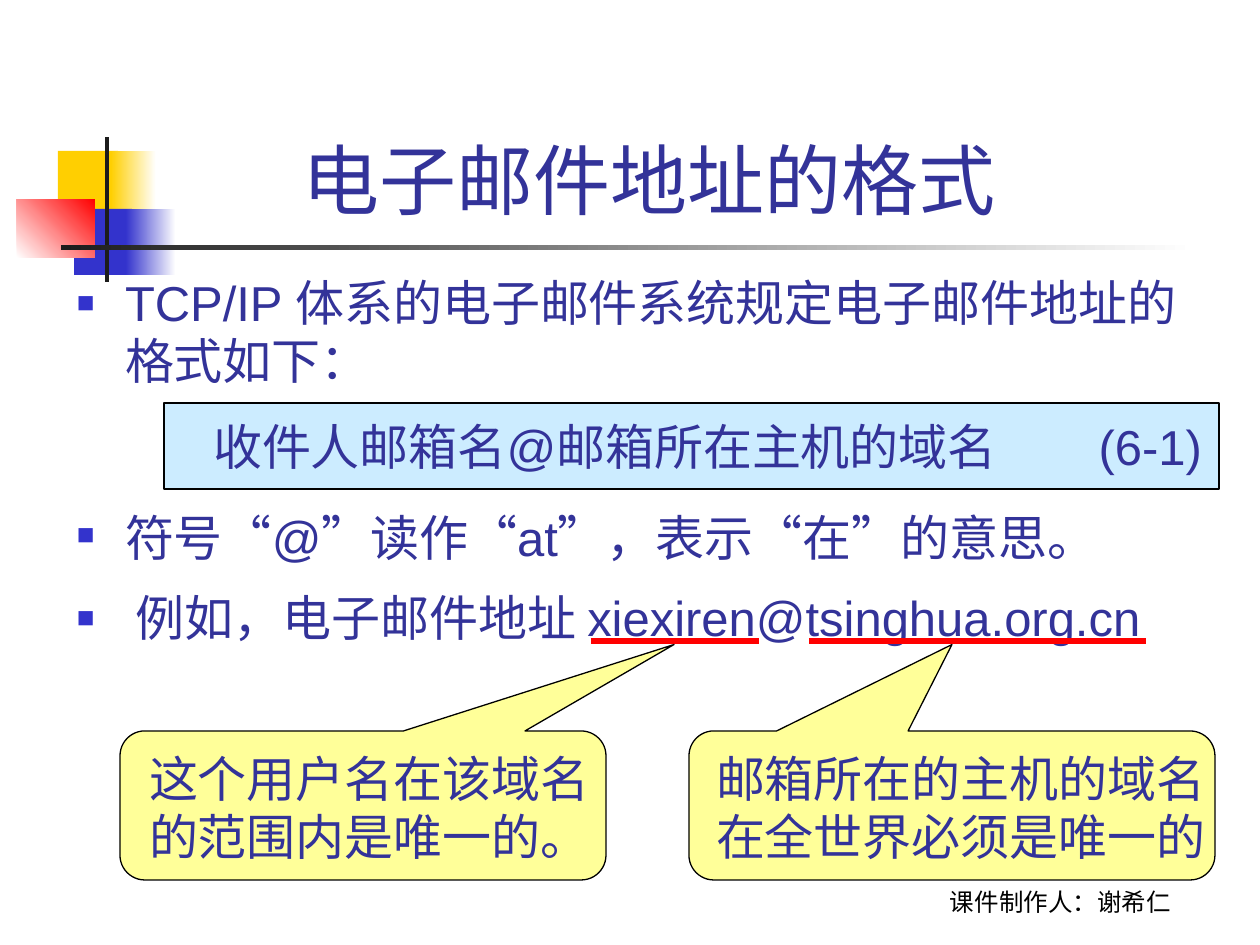
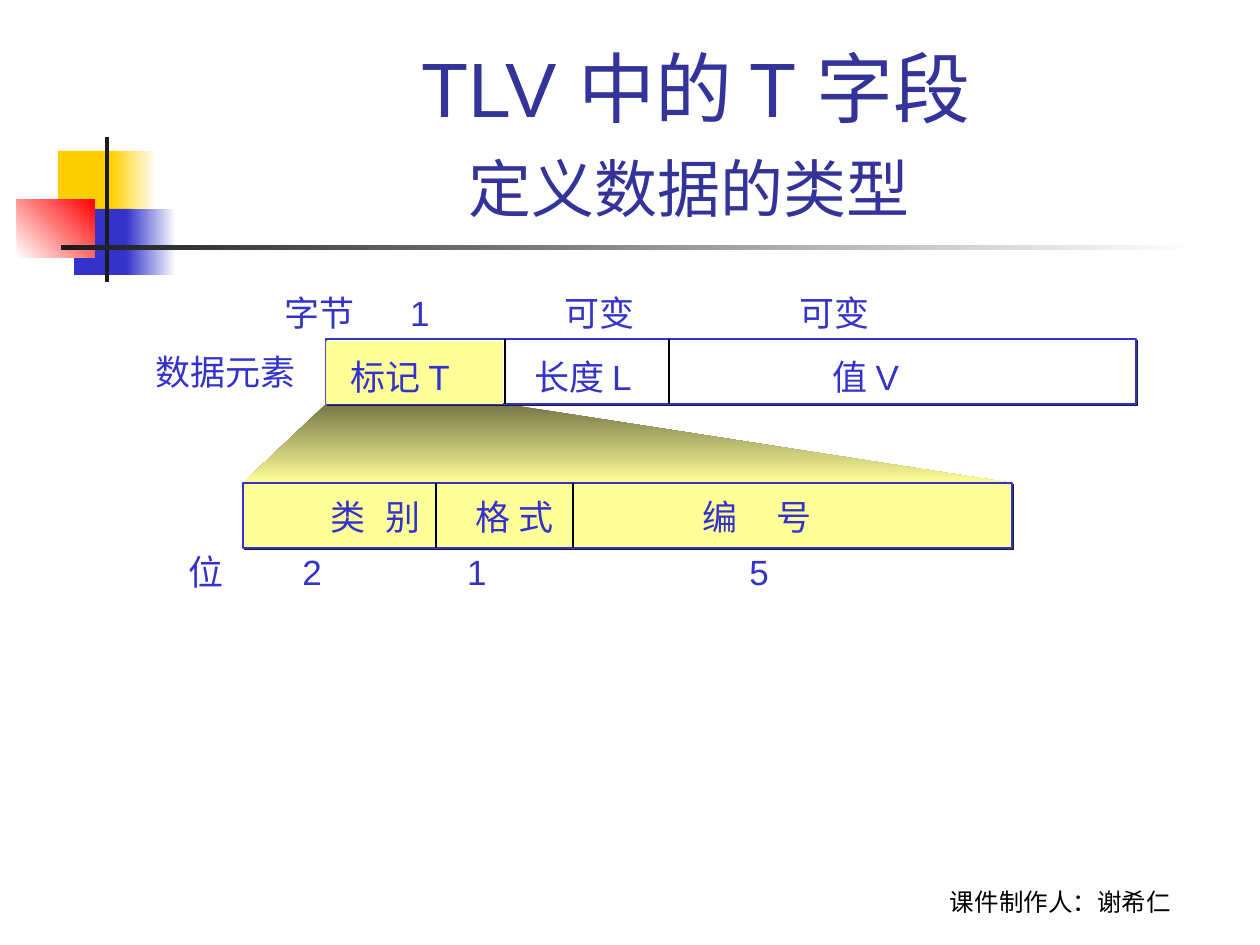
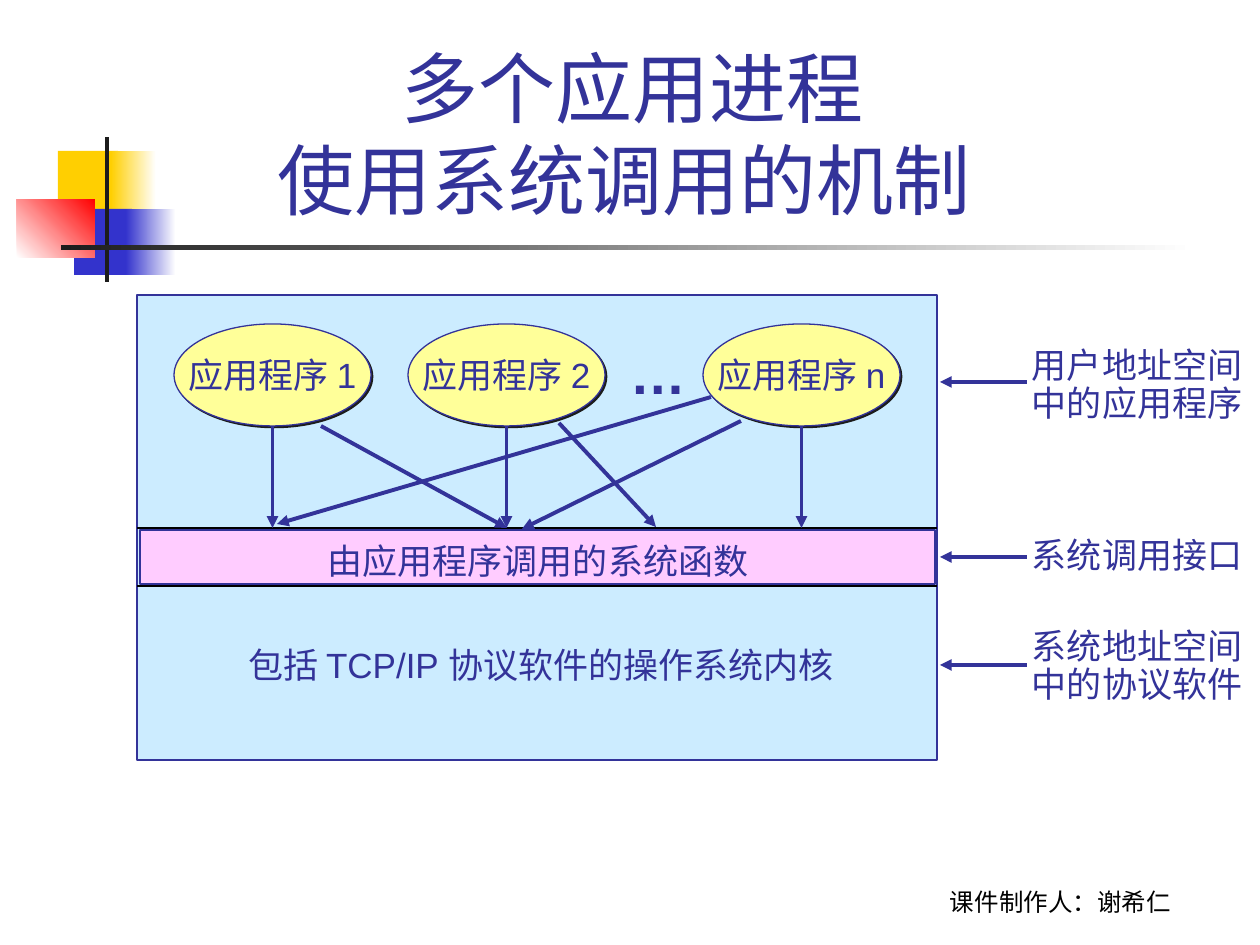
from lxml.etree import SubElement
from pptx import Presentation
from pptx.dml.color import RGBColor
from pptx.enum.lang import MSO_LANGUAGE_ID
from pptx.enum.shapes import MSO_CONNECTOR, MSO_SHAPE
from pptx.enum.text import MSO_ANCHOR, MSO_AUTO_SIZE, PP_ALIGN
from pptx.oxml.ns import qn
from pptx.util import Pt

PX = 914400 / 126
SLIDE_SIZE = (1260, 945)
TITLE_AND_BODY, TITLE_ONLY = 1, 5
LATIN, ASIAN, FOOTER_FONT = "Arial", "Noto Sans CJK SC", "Cabin"
LEADING = 1.19
INSET = (13, 6, 13, 6)

COLORS = {
    "ink": "333399", "blue": "3333CC", "gold": "FFCF01", "red": "FF0000",
    "dark": "1C1C1C", "black": "000000", "white": "FFFFFF", "sky": "CCECFF",
    "yellow": "FFFF99", "olive": "767647", "pink": "FFCCFF",
}

DECORATION = [
    ((58, 151, 60, 66), "gold"),
    ((111, 151, 45, 66), ("gold", "white", 0)),
    ((74, 209, 58, 66), "blue"),
    ((126, 209, 50, 66), ("blue", "white", 0)),
    ((17, 199, 78, 59), ("white", "red", 45)),
    ((105, 137, 4, 145), "dark"),
    ((61, 245, 1134, 5), ("dark", "white", 0)),
]
FOOTER = "课件制作人：谢希仁"
FOOTER_BOX = (861, 859, 399, 63)

ADDRESS_TITLE = ["电子邮件地址的格式"]
ADDRESS_TITLE_BOX = (54, 29, 1191, 202)
ADDRESS_BODY_BOX = (64, 268, 1151, 621)
ADDRESS_BODY = [
    {"runs": "TCP/IP 体系的电子邮件系统规定电子邮件地址的格式如下：", "bullet": "■"},
    {"runs": [("收件人邮箱名@邮箱所在主机的域名", {}), (" ", {"spacing": 52}), ("(6-1)", {})],
     "align": PP_ALIGN.RIGHT, "before": 16, "after": 17},
    {"runs": [("符号“@”读作“at”，表示“在”的意思。", {}), (" ", {"size": 32})],
     "bullet": "■", "leading": 36, "after": 12},
    {"runs": " 例如，电子邮件地址 xiexiren@tsinghua.org.cn", "bullet": "■"},
]
FORMAT_BOX = (164, 403, 1055, 86)
UNDERLINE_Y = 641
CALLOUTS = [
    {"box": (689, 731, 526, 149), "tip": (0.0, -1.08), "text_left": 703,
     "underline": (809, 1146), "lines": ["邮箱所在的主机的域名", "在全世界必须是唯一的"]},
    {"box": (120, 731, 486, 149), "tip": (0.64, -1.08), "text_left": 136,
     "underline": (591, 759), "lines": ["这个用户名在该域名", "的范围内是唯一的。"]},
]

TLV_TITLE = [
    "TLV 中的 T 字段",
    {"runs": [("定义数据的类型", {"size": 36}), (" ", {"size": 36, "spacing": 10})]},
]
TLV_TITLE_BOX = (159, 29, 1074, 202)
ELEMENT_BAR = (326, 339, 810, 65)
TAG_CELL = (326, 341, 177, 63)
TAG_BAR = (243, 483, 769, 65)
ELEMENT_DIVIDERS = [505, 669]
TAG_DIVIDERS = [436, 573]
TLV_LABELS = [
    (313, [("字节", 320), ("1", 420), ("可变", 600), ("可变", 835)]),
    (372, [("数据元素", 226)]),
    (377, [("标记 T", 400), ("长度 L", 583), ("值 V", 866)]),
    (517, [("类 别", 376, 3.5), ("格 式", 515), ("编 号", 757, 9)]),
    (572, [("位", 206), ("2", 312), ("1", 477), ("5", 759)]),
]

CALL_TITLE = ["多个应用进程", "使用系统调用的机制 "]
CALL_TITLE_BOX = (159, 29, 948, 202)
PANEL = (137, 295, 800, 465)
INTERFACE_BAR = (140, 530, 795, 54)
INTERFACE_EDGES = [528, 586]
APPLICATION_Y, APPLICATION_SIZE = 324, (197, 102)
APPLICATIONS = [("应用程序 1", 174), ("应用程序 2", 408), ("应用程序 n", 703)]
ELLIPSIS = ("…", 658, 372)
PANEL_LABELS = [("由应用程序调用的系统函数", 538, 561),
                ("包括 TCP/IP 协议软件的操作系统内核", 541, 665)]
CROSS_CALLS = [
    ((321, 426), (507, 528)),
    ((741, 421), (522, 529)),
    ((711, 397), (277, 524)),
    ((559, 423), (656, 527)),
]
SIDE_NOTES = [
    (382, 386, ["用户地址空间", "中的应用程序"]),
    (557, 557, ["系统调用接口"]),
    (665, 667, ["系统地址空间", "中的协议软件"]),
]
NOTE_LEFT, NOTE_ARROW = 1019, (1027, 940)


def px(value):
    return round(value * PX)


def rgb(name):
    return RGBColor.from_string(COLORS[name])


def format_run(run, size, font, color, bold, spacing):
    run.font.size, run.font.name, run.font.bold = Pt(size), font, bold
    run.font.color.rgb = rgb(color)
    run.font.language_id = MSO_LANGUAGE_ID.SIMPLIFIED_CHINESE
    properties = run._r.get_or_add_rPr()
    properties.find(qn("a:latin")).addnext(properties.makeelement(qn("a:ea"), {"typeface": ASIAN}))
    if spacing:
        properties.set("spc", str(round(spacing * 100)))


def add_bullet(paragraph, character):
    properties = paragraph._p.get_or_add_pPr()
    properties.set("marL", str(px(48)))
    properties.set("indent", str(px(-48)))
    color = SubElement(properties, qn("a:buClr"))
    SubElement(color, qn("a:srgbClr"), val=COLORS["blue"])
    SubElement(properties, qn("a:buSzPct"), val="60000")
    SubElement(properties, qn("a:buChar"), char=character)


def write_text(shape, lines, size=20, font=LATIN, color="ink", bold=False, spacing=0,
               align=PP_ALIGN.LEFT, anchor=MSO_ANCHOR.MIDDLE, leading=None, wrap=True,
               inset=INSET):
    frame = shape.text_frame
    frame.auto_size = MSO_AUTO_SIZE.NONE
    frame.word_wrap, frame.vertical_anchor = wrap, anchor
    frame.margin_left, frame.margin_top, frame.margin_right, frame.margin_bottom = map(px, inset)
    for index, line in enumerate(lines):
        line = line if isinstance(line, dict) else {"runs": line}
        paragraph = frame.add_paragraph() if index else frame.paragraphs[0]
        if "bullet" in line:
            add_bullet(paragraph, line["bullet"])
        elif shape.is_placeholder:
            properties = paragraph._p.get_or_add_pPr()
            properties.set("marL", "0")
            properties.set("indent", "0")
            SubElement(properties, qn("a:buNone"))
        paragraph.alignment = line.get("align", align)
        paragraph.line_spacing = Pt(line.get("leading", leading or size * LEADING))
        paragraph.space_before = Pt(line.get("before", 0))
        paragraph.space_after = Pt(line.get("after", 0))
        runs = line["runs"]
        for text, changes in [(runs, {})] if isinstance(runs, str) else runs:
            run = paragraph.add_run()
            run.text = text
            style = {"size": size, "font": font, "color": color, "bold": bold, "spacing": spacing}
            format_run(run, **{**style, **changes})


def paint(shape, fill, line=None, width=0.75, shadow=False):
    shape.shadow.inherit = False
    if isinstance(fill, tuple):
        start, end, angle = fill
        shape.fill.gradient()
        shape.fill.gradient_angle = angle
        for stop, name, position in zip(shape.fill.gradient_stops, (start, end), (0, 1)):
            stop.color.rgb, stop.position = rgb(name), position
    else:
        shape.fill.solid()
        shape.fill.fore_color.rgb = rgb(fill)
    if line:
        shape.line.color.rgb, shape.line.width = rgb(line), Pt(width)
    else:
        shape.line.fill.background()
    if shadow:
        effects = shape._element.spPr.find(qn("a:effectLst"))
        outer = SubElement(effects, qn("a:outerShdw"), blurRad="0", dist=str(Pt(1.4)),
                           dir="2700000", algn="ctr", rotWithShape="0")
        SubElement(outer, qn("a:srgbClr"), val=COLORS["dark"])


def add_shape(slide, box, fill, kind=MSO_SHAPE.RECTANGLE, **style):
    shape = slide.shapes.add_shape(kind, *map(px, box))
    paint(shape, fill, **style)
    return shape


def add_line(slide, start, end, color="black", width=0.75, arrow=False):
    connector = slide.shapes.add_connector(MSO_CONNECTOR.STRAIGHT, *map(px, start + end))
    connector.line.color.rgb, connector.line.width = rgb(color), Pt(width)
    if arrow:
        SubElement(connector.line._get_or_add_ln(), qn("a:tailEnd"), type="triangle")
    SubElement(connector._element.spPr, qn("a:effectLst"))


def add_arrow(slide, start, end):
    add_line(slide, start, end, color="ink", width=2.25, arrow=True)


def add_text(slide, box, lines, **style):
    write_text(slide.shapes.add_textbox(*map(px, box)), lines, **style)


def add_label(slide, text, center_x, center_y, width=200, **style):
    box = (center_x - width / 2, center_y - 40, width, 80)
    add_text(slide, box, [text], align=PP_ALIGN.CENTER, **style)


def place(shape, box):
    shape.left, shape.top, shape.width, shape.height = map(px, box)


def add_slide(presentation, layout, title, title_box):
    slide = presentation.slides.add_slide(presentation.slide_layouts[layout])
    for box, fill in DECORATION:
        add_shape(slide, box, fill)
    add_text(slide, FOOTER_BOX, [FOOTER], size=14, font=FOOTER_FONT, color="black",
             align=PP_ALIGN.CENTER, anchor=MSO_ANCHOR.BOTTOM)
    place(slide.shapes.title, title_box)
    write_text(slide.shapes.title, title, size=44, align=PP_ALIGN.CENTER,
               anchor=MSO_ANCHOR.BOTTOM)
    return slide


def build_address_slide(presentation):
    slide = add_slide(presentation, TITLE_AND_BODY, ADDRESS_TITLE, ADDRESS_TITLE_BOX)
    add_shape(slide, FORMAT_BOX, "sky", line="black")
    body = slide.placeholders[1]
    place(body, ADDRESS_BODY_BOX)
    slide.shapes.element.append(body.element)
    write_text(body, ADDRESS_BODY, size=28, leading=33, anchor=MSO_ANCHOR.TOP)
    for callout in CALLOUTS:
        left, right = callout["underline"]
        add_line(slide, (left, UNDERLINE_Y), (right, UNDERLINE_Y), color="red", width=3)
        bubble = add_shape(slide, callout["box"], "yellow", line="black",
                           kind=MSO_SHAPE.ROUNDED_RECTANGULAR_CALLOUT)
        bubble.adjustments[0], bubble.adjustments[1] = callout["tip"]
        _, top, width, height = callout["box"]
        add_text(slide, (callout["text_left"], top + 2, width + 12, height), callout["lines"],
                 size=28, font=ASIAN)


def build_tlv_slide(presentation):
    slide = add_slide(presentation, TITLE_ONLY, TLV_TITLE, TLV_TITLE_BOX)
    left, top, width, height = ELEMENT_BAR
    tag_left, tag_top, tag_width, tag_height = TAG_BAR
    bottom = top + height
    builder = slide.shapes.build_freeform(tag_left, tag_top, scale=PX)
    builder.add_line_segments([(left, bottom), (ELEMENT_DIVIDERS[0], bottom),
                               (tag_left + tag_width, tag_top)])
    paint(builder.convert_to_shape(), ("olive", "yellow", 270))
    add_shape(slide, ELEMENT_BAR, "white", line="blue", shadow=True)
    add_shape(slide, TAG_CELL, "yellow")
    add_shape(slide, TAG_BAR, "yellow", line="blue", shadow=True)
    for dividers, start, end in [(ELEMENT_DIVIDERS, top, bottom),
                                 (TAG_DIVIDERS, tag_top, tag_top + tag_height)]:
        for x in dividers:
            add_line(slide, (x, start), (x, end))
    for y, labels in TLV_LABELS:
        for text, x, *spacing in labels:
            add_label(slide, text, x, y, color="blue", spacing=sum(spacing))


def build_call_slide(presentation):
    slide = add_slide(presentation, TITLE_ONLY, CALL_TITLE, CALL_TITLE_BOX)
    left, _, width, _ = PANEL
    add_shape(slide, PANEL, "sky", line="ink", width=1.5)
    for y in INTERFACE_EDGES:
        add_line(slide, (left, y), (left + width, y))
    add_shape(slide, INTERFACE_BAR, "pink", line="ink")
    application_width, application_height = APPLICATION_SIZE
    for name, x in APPLICATIONS:
        ellipse = add_shape(slide, (x, APPLICATION_Y, *APPLICATION_SIZE), "yellow",
                            kind=MSO_SHAPE.OVAL, line="ink", shadow=True)
        write_text(ellipse, [name], align=PP_ALIGN.CENTER, wrap=False)
        center = x + application_width / 2
        add_arrow(slide, (center, APPLICATION_Y + application_height),
                  (center, INTERFACE_EDGES[0]))
    for start, end in CROSS_CALLS:
        add_arrow(slide, start, end)
    add_label(slide, *ELLIPSIS, size=32, bold=True)
    for text, x, y in PANEL_LABELS:
        add_label(slide, text, x, y, width=700)
    arrow_start, arrow_end = NOTE_ARROW
    for arrow_y, center_y, lines in SIDE_NOTES:
        add_text(slide, (NOTE_LEFT, center_y - 45, SLIDE_SIZE[0] - NOTE_LEFT, 90), lines,
                 leading=21.5)
        add_arrow(slide, (arrow_start, arrow_y), (arrow_end, arrow_y))


def main():
    presentation = Presentation()
    presentation.slide_width, presentation.slide_height = map(px, SLIDE_SIZE)
    build_address_slide(presentation)
    build_tlv_slide(presentation)
    build_call_slide(presentation)
    presentation.save("out.pptx")


if __name__ == "__main__":
    main()
